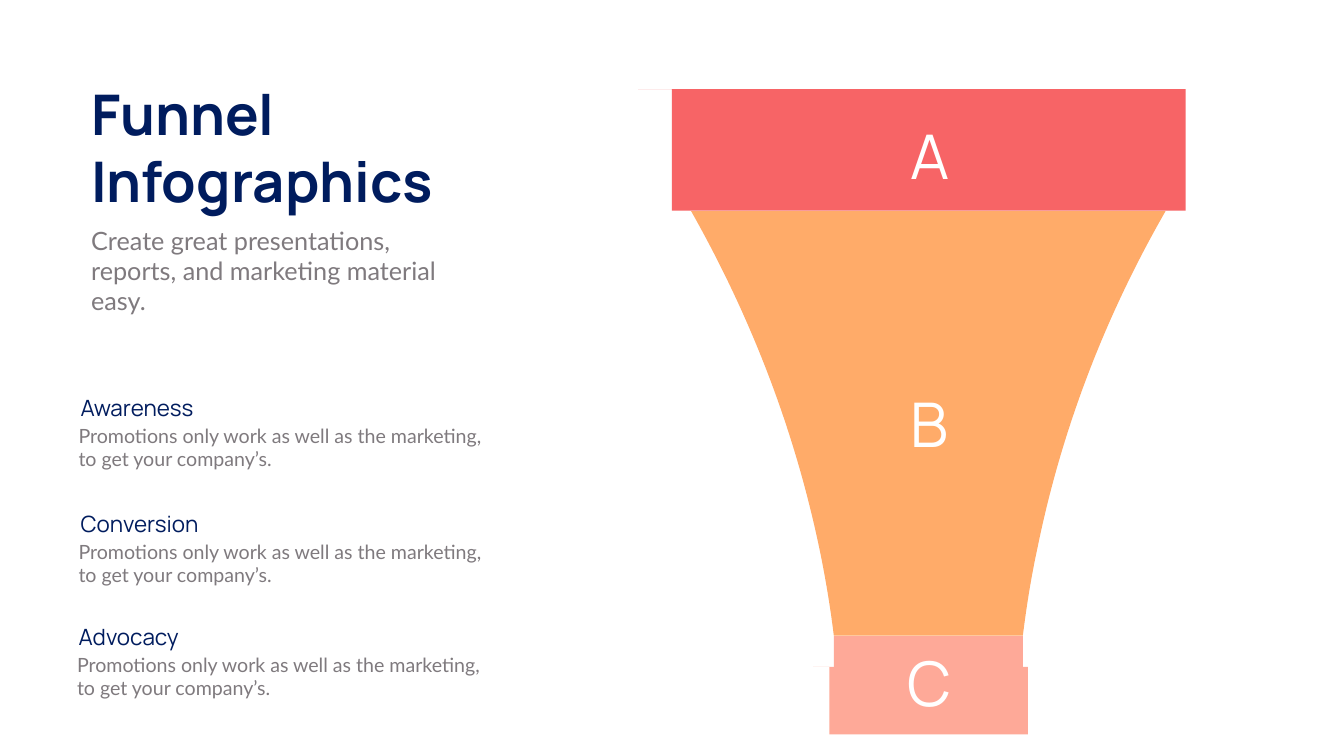
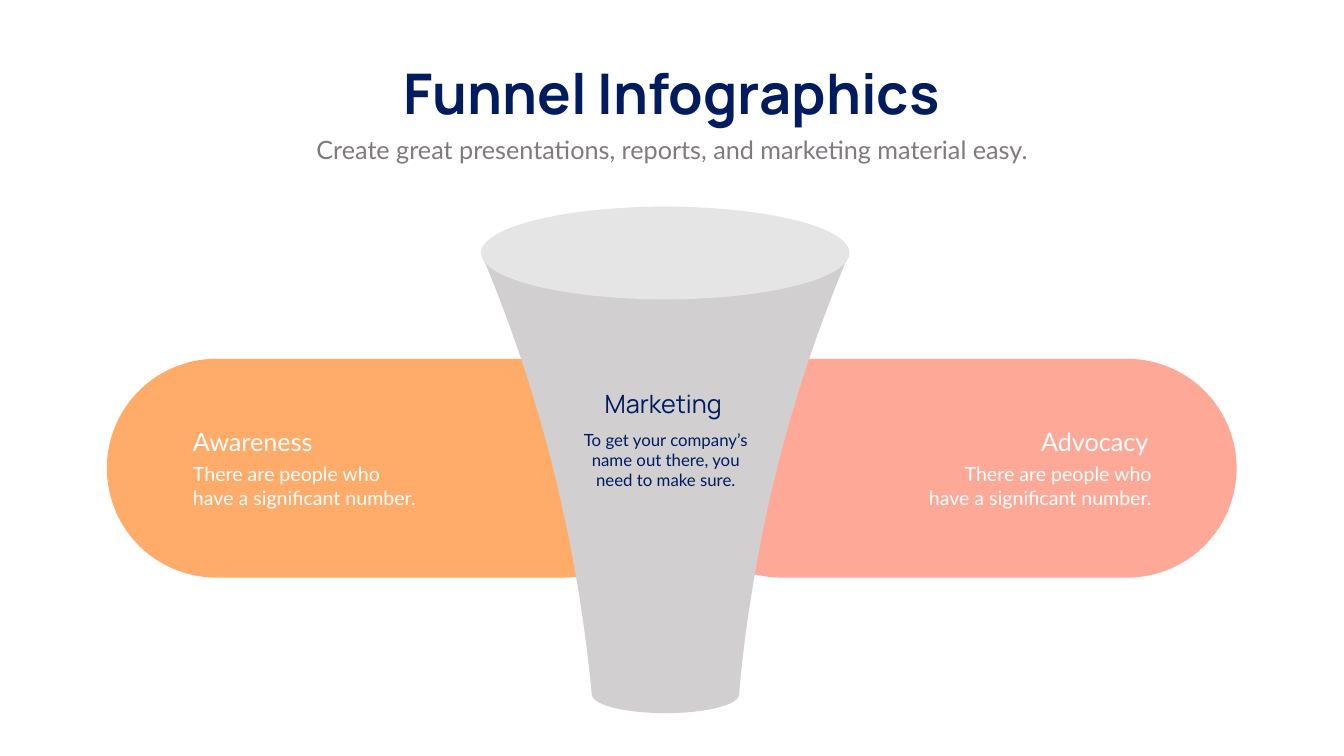
from lxml.etree import SubElement
from pptx import Presentation
from pptx.dml.color import RGBColor
from pptx.enum.shapes import MSO_SHAPE as Shape
from pptx.enum.text import MSO_ANCHOR as Anchor, MSO_AUTO_SIZE as AutoSize, PP_ALIGN as Align
from pptx.oxml.ns import qn
from pptx.util import Pt

PX = 9144  # EMU per px, 100 px to the inch
TITLE_ONLY = 5

NAVY, GREY, WHITE = "001C5E", "7F7A7E", "FFFFFF"
RED, ORANGE, SALMON = "F76466", "FFAB69", "FEA998"
FUNNEL_GREY, RIM_GREY = "D1CFD0", "E5E5E5"
HEADING, BODY = "Manrope", "Lato"

SUBTITLE = "Create great presentations, reports, and marketing material easy."
PROMOTION = "Promotions only work as well as the marketing, to get your company’s."
PEOPLE = "There are people who have a significant number."
MARKETING = "To get your company’s name out there, you need to make sure."

# stage, heading left, body left, top
STAGES = [
    ("Awareness", 150, 146, 777),
    ("Conversion", 150, 146, 1007),
    ("Advocacy", 146, 143, 1231),
]
STAGE_BODY_DROP = 59

# Outlines: a pair is a corner, six numbers are a Bézier curve
TOP_BAND = [(1266, 177), (2352, 177), (2352, 418), (1333, 418), (1333, 177)]
FUNNEL_BODY = [
    (2029, 1261), (1654, 1261),
    (1648, 1212, 1640, 1162, 1630, 1111),
    (1575, 834, 1475, 603, 1371, 419),
    (2312, 419),
    (2212, 593, 2113, 817, 2058, 1087),
    (2045, 1147, 2036, 1205, 2029, 1261),
]
NECK = (1654, 1262, 375, 127)
BASE_BAND = [(1613, 1323), (2039, 1323), (2039, 1457), (1645, 1457), (1645, 1323)]
LETTERS = [("A", 230), ("B", 760), ("C", 1274)]

CONE = [
    (1466, 1378), (1174, 1378),
    (1169, 1327, 1163, 1275, 1155, 1222),
    (1113, 934, 1035, 693, 954, 502),
    (1685, 502),
    (1608, 683, 1530, 916, 1488, 1197),
    (1478, 1259, 1471, 1320, 1466, 1378),
]
RIM = (954, 410, 731, 184)
FOOT = (1174, 1341, 292, 74)

# pill left, colour, heading, heading box (left, width), body box, alignment
PILLS = [
    (212, ORANGE, "Awareness", (373, 462), (373, 462), Align.LEFT),
    (1333, SALMON, "Advocacy", (1826, 462), (1830, 464), Align.RIGHT),
]


def emu(*lengths):
    return [length * PX for length in lengths]


def rgb(code):
    return RGBColor.from_string(code)


def paint(shape, color):
    shape.fill.solid()
    shape.fill.fore_color.rgb = rgb(color)
    shape.line.fill.background()
    shape.shadow.inherit = False


def add_preset(slide, kind, box, color):
    shape = slide.shapes.add_shape(kind, *emu(*box))
    paint(shape, color)
    return shape


def bend(shape, segment, curve):
    """Turn a straight segment of a freeform into a cubic curve."""
    segment.tag = qn("a:cubicBezTo")
    for point in list(segment):
        segment.remove(point)
    for x, y in zip(emu(*curve[::2]), emu(*curve[1::2])):
        SubElement(segment, qn("a:pt"), x=str(x - shape.left), y=str(y - shape.top))


def replace_segment(shape, segment, curve):
    curved = SubElement(segment.getparent(), qn("a:cubicBezTo"))
    for x, y in zip(emu(*curve[::2]), emu(*curve[1::2])):
        SubElement(curved, qn("a:pt"), x=str(x - shape.left), y=str(y - shape.top))
    segment.getparent().replace(segment, curved)


def add_outline(slide, outline, color):
    corners = [emu(*part[-2:]) for part in outline]
    builder = slide.shapes.build_freeform(*corners[0], scale=1.0)
    builder.add_line_segments(corners[1:], close=True)
    shape = builder.convert_to_shape()
    segments = list(shape.element.iter(qn("a:lnTo")))
    for segment, part in zip(segments, outline[1:]):
        if len(part) == 6:
            replace_segment(shape, segment, part)
    paint(shape, color)


def format_text(frame, text, size, font, color, align, wrap=True, bold=False):
    frame.text = text
    frame.word_wrap = wrap
    frame.auto_size = AutoSize.SHAPE_TO_FIT_TEXT
    frame.vertical_anchor = Anchor.TOP
    for paragraph in frame.paragraphs:
        paragraph.alignment = align
        for run in paragraph.runs:
            run.font.size = Pt(size)
            run.font.name = font
            run.font.bold = bold
            run.font.color.rgb = rgb(color)


def add_text(slide, box, text, size, font, color, align=Align.LEFT):
    frame = slide.shapes.add_textbox(*emu(*box)).text_frame
    format_text(frame, text, size, font, color, align)


def add_titled_slide(deck, title, title_box, subtitle_box, align):
    slide = deck.slides.add_slide(deck.slide_layouts[TITLE_ONLY])
    heading = slide.shapes.title
    heading.left, heading.top, heading.width, heading.height = emu(*title_box)
    format_text(heading.text_frame, title, 80, HEADING, NAVY, align, wrap=False, bold=True)
    add_text(slide, subtitle_box, SUBTITLE, 36, BODY, GREY, align)
    return slide


def build_stage_funnel(deck):
    slide = add_titled_slide(deck, "Funnel\nInfographics", (171, 153, 758, 279),
                             (171, 442, 792, 131), Align.LEFT)
    for stage, heading_left, body_left, top in STAGES:
        add_text(slide, (heading_left, top, 631, 64), stage, 32, HEADING, NAVY)
        add_text(slide, (body_left, top + STAGE_BODY_DROP, 823, 104),
                 PROMOTION, 28, BODY, GREY)
    add_outline(slide, TOP_BAND, RED)
    add_outline(slide, FUNNEL_BODY, ORANGE)
    add_preset(slide, Shape.RECTANGLE, NECK, SALMON)
    add_outline(slide, BASE_BAND, SALMON)
    for letter, top in LETTERS:
        add_text(slide, (1749, top, 190, 158), letter, 88, HEADING, WHITE, Align.CENTER)


def build_marketing_funnel(deck):
    slide = add_titled_slide(deck, "Funnel Infographics", (747, 112, 1171, 145),
                             (292, 261, 2082, 71), Align.CENTER)
    for left, color, *_ in PILLS:
        pill = add_preset(slide, Shape.ROUNDED_RECTANGLE, (left, 712, 1120, 434), color)
        pill.adjustments[0] = 0.5
    for _, _, heading, (heading_left, heading_width), (body_left, body_width), align in PILLS:
        add_text(slide, (heading_left, 841, heading_width, 71),
                 heading, 36, BODY, WHITE, align)
        add_text(slide, (body_left, 912, body_width, 104), PEOPLE, 28, BODY, WHITE, align)
    add_outline(slide, CONE, FUNNEL_GREY)
    add_preset(slide, Shape.OVAL, RIM, RIM_GREY)
    add_preset(slide, Shape.OVAL, FOOT, FUNNEL_GREY)
    add_text(slide, (1166, 765, 299, 71), "Marketing", 36, HEADING, NAVY, Align.CENTER)
    add_text(slide, (1143, 848, 355, 134), MARKETING, 24, BODY, NAVY, Align.CENTER)


def main():
    deck = Presentation()
    deck.slide_width, deck.slide_height = emu(2666, 1500)
    build_stage_funnel(deck)
    build_marketing_funnel(deck)
    deck.save("out.pptx")


if __name__ == "__main__":
    main()
